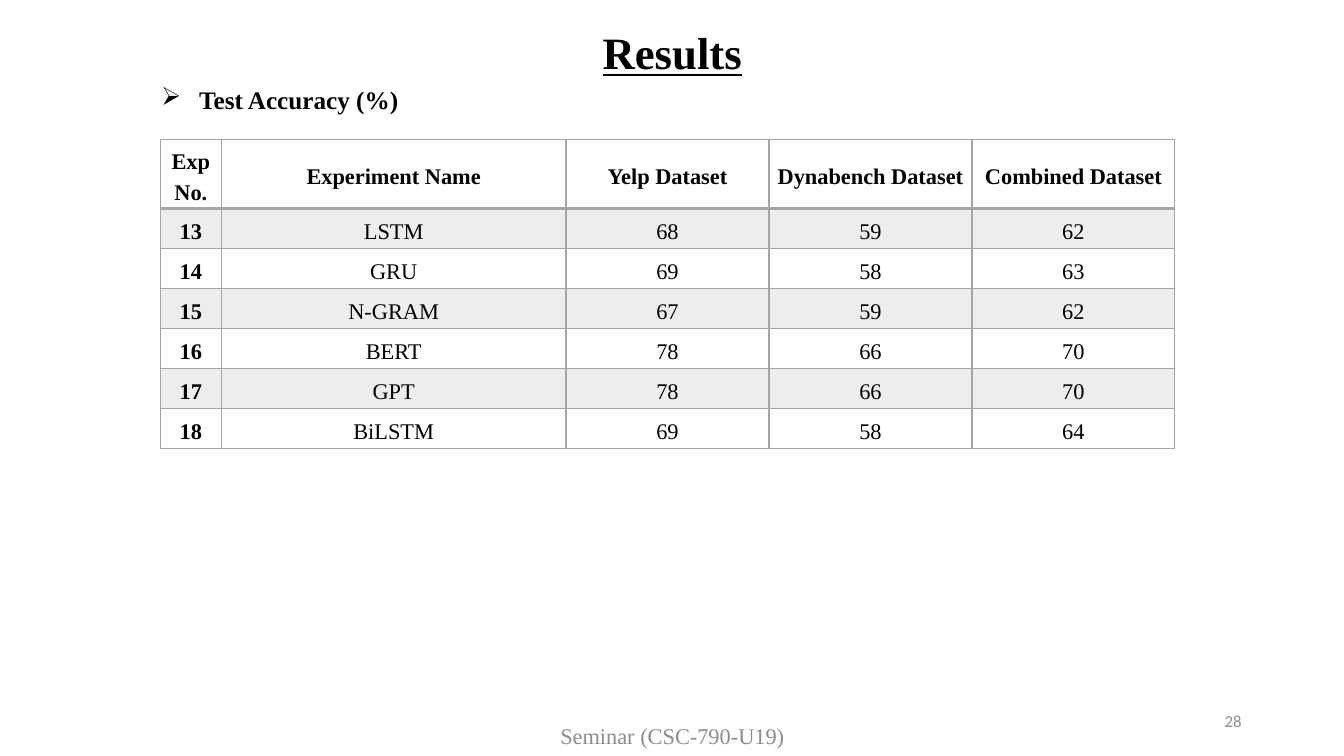
"""Build the test accuracy results slide."""
import pptx
import pptx.dml.color
import pptx.enum.text
import pptx.oxml
import pptx.oxml.ns
import pptx.util

Pt = pptx.util.Pt
ALIGN = pptx.enum.text.PP_ALIGN
MIDDLE = pptx.enum.text.MSO_ANCHOR.MIDDLE
BLACK = pptx.dml.color.RGBColor(0x00, 0x00, 0x00)
FOOTER_GRAY = pptx.dml.color.RGBColor(0x8C, 0x8C, 0x8C)
TABLE_GRAY = pptx.dml.color.RGBColor(0xA5, 0xA5, 0xA5)
NAMESPACE = pptx.oxml.ns.nsdecls("a")


def write_text(frame, text, size=16, color=BLACK, font="Times New Roman", bold=False,
               underline=False, align=ALIGN.CENTER, bullet=None):
    frame.word_wrap = True
    paragraph = frame.paragraphs[0]
    paragraph.text = text
    paragraph.alignment = align
    if bullet:
        properties = paragraph._p.get_or_add_pPr()
        properties.set("marL", str(Pt(49.5)))
        properties.set("indent", str(Pt(-27)))
        properties.append(pptx.oxml.parse_xml(f'<a:buChar {NAMESPACE} char="{bullet}"/>'))
    paragraph.font.size = Pt(size)
    paragraph.font.name = font
    paragraph.font.bold = bold
    paragraph.font.underline = underline
    paragraph.font.color.rgb = color
    return paragraph


presentation = pptx.Presentation()
presentation.slide_width = Pt(960)
presentation.slide_height = Pt(540)
slide = presentation.slides.add_slide(presentation.slide_layouts[6])

title = slide.shapes.add_textbox(Pt(2.9), Pt(14.4), Pt(954.7), Pt(46))
write_text(title.text_frame, "Results", size=32, bold=True, underline=True)

page_number = slide.shapes.add_textbox(Pt(678), Pt(500.5), Pt(216), Pt(28.8))
page_number.text_frame.vertical_anchor = MIDDLE
write_text(page_number.text_frame, "28", size=12, color=FOOTER_GRAY, font="Calibri",
           align=ALIGN.RIGHT)

footer = slide.shapes.add_textbox(Pt(2.9), Pt(511.2), Pt(954.7), Pt(28.8))
footer.text_frame.vertical_anchor = MIDDLE
write_text(footer.text_frame, "Seminar (CSC-790-U19)", color=FOOTER_GRAY)

rows = [
    ("Exp No.", "Experiment Name", "Yelp Dataset", "Dynabench Dataset", "Combined Dataset"),
    ("13", "LSTM", "68", "59", "62"),
    ("14", "GRU", "69", "58", "63"),
    ("15", "N-GRAM", "67", "59", "62"),
    ("16", "BERT", "78", "66", "70"),
    ("17", "GPT", "78", "66", "70"),
    ("18", "BiLSTM", "69", "58", "64"),
]
column_widths = [43.7, 246.1, 145, 145, 145]
row_heights = [49.2] + [28.55] * 6
table = slide.shapes.add_table(len(rows), len(column_widths), Pt(114.5), Pt(99.8),
                               Pt(sum(column_widths)), Pt(sum(row_heights))).table
table.first_row = False
table.horz_banding = False
for column, width in zip(table.columns, column_widths):
    column.width = Pt(width)

for row_index, values in enumerate(rows):
    table.rows[row_index].height = Pt(row_heights[row_index])
    for column_index, value in enumerate(values):
        cell = table.cell(row_index, column_index)
        cell.vertical_anchor = MIDDLE
        cell.margin_left = cell.margin_right = Pt(5)
        cell.margin_top = cell.margin_bottom = 0
        paragraph = write_text(cell.text_frame, value,
                               bold=row_index == 0 or column_index == 0)
        paragraph.line_spacing = 1.26
        paragraph.space_after = Pt(0.8)
        cell_properties = cell._tc.get_or_add_tcPr()
        for side in "LRTB":
            under_header = (row_index, side) in [(0, "B"), (1, "T")]
            cell_properties.append(pptx.oxml.parse_xml(
                f'<a:ln{side} {NAMESPACE} w="{Pt(2 if under_header else 1)}"><a:solidFill>'
                f'<a:srgbClr val="{TABLE_GRAY}"/></a:solidFill></a:ln{side}>'))
        if row_index % 2:
            cell.fill.solid()
            cell.fill.fore_color.rgb = TABLE_GRAY
            fill_color = cell_properties.find(pptx.oxml.ns.qn("a:solidFill"))[0]
            fill_color.append(pptx.oxml.parse_xml(f'<a:alpha {NAMESPACE} val="20000"/>'))
        else:
            cell.fill.background()

subtitle = slide.shapes.add_textbox(Pt(85.7), Pt(56.9), Pt(480.2), Pt(28.8))
paragraph = write_text(subtitle.text_frame, "Test Accuracy (%)", size=18, bold=True,
                       align=ALIGN.JUSTIFY, bullet="➢")
paragraph.space_after = Pt(1)

presentation.save("out.pptx")
